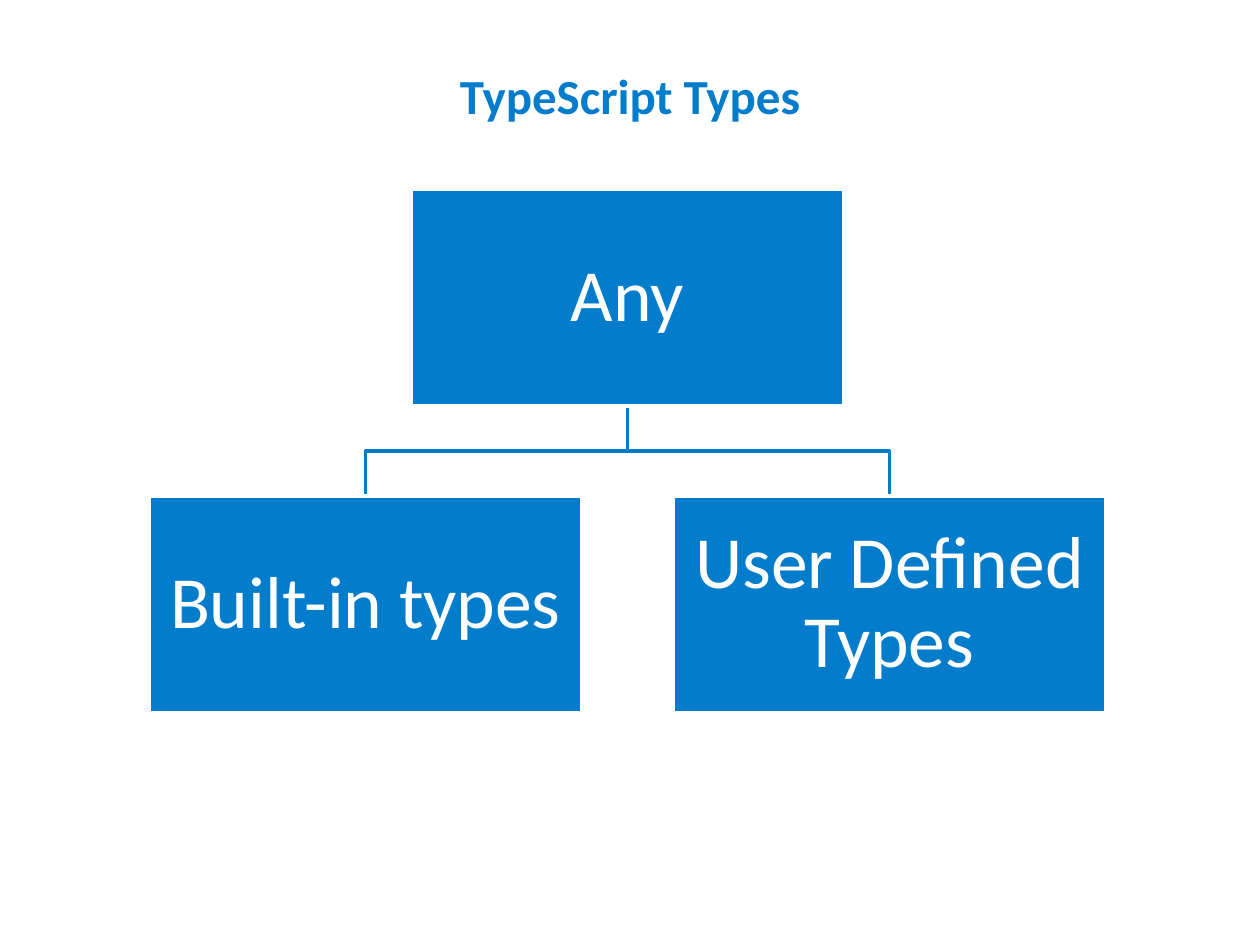
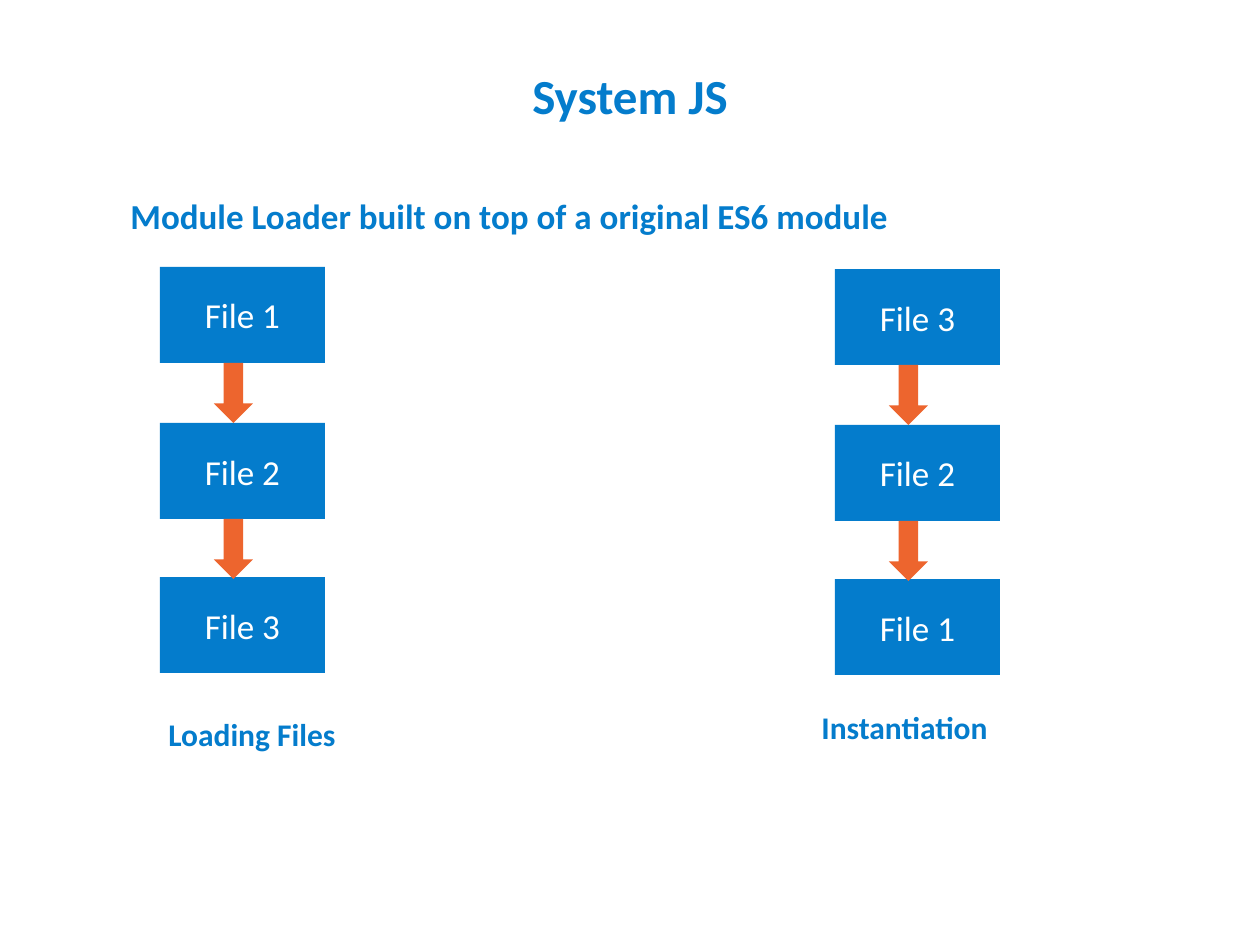
"""Build two slides: the TypeScript type tree and the System JS file order."""
from pptx import Presentation
from pptx.dml.color import RGBColor
from pptx.enum.shapes import MSO_SHAPE
from pptx.enum.text import MSO_ANCHOR, MSO_AUTO_SIZE, PP_ALIGN
from pptx.util import Pt

EMU_PER_PX = 914400 / 126
BLUE, ORANGE, WHITE = "047CCC", "ED652E", "FFFFFF"
FONT = "Calibri"
TITLE_ONLY = 5
TITLE_AREA = (63, 42, 1134, 105)

TREE = {"title": "TypeScript Types", "parent": "Any",
        "children": ["Built-in types", "User Defined Types"]}
TREE_BOX = (433, 217)
TREE_LEFT, TREE_TOP = 149, 189
TREE_GAP_X, TREE_GAP_Y = 91, 90

LOADER = {
    "title": "System JS",
    "subtitle": "Module Loader built on top of a original ES6 module",
    "columns": [
        {"files": ["File 1", "File 2", "File 3"], "at": (160, 267),
         "caption": "Loading Files", "caption_at": (156, 709)},
        {"files": ["File 3", "File 2", "File 1"], "at": (835, 269),
         "caption": "Instantiation", "caption_at": (809, 702)},
    ],
}
SUBTITLE_AREA = (118, 188, 1062, 55)
FILE_BOX = (165, 96)
FILE_OFFSETS = (0, 156, 310)
ARROW_OFFSET, ARROW_SIZE = 54, (39, 60)
CAPTION_SIZE = (260, 50)


def px(length):
    return round(length * EMU_PER_PX)


def color(hex_string):
    return RGBColor.from_string(hex_string)


def write(shape, text, size=20, font_color=BLUE, bold=False, align=PP_ALIGN.LEFT,
          anchor=MSO_ANCHOR.TOP, wrap=True, inset=None, spacing=None):
    frame = shape.text_frame
    frame.text = text
    frame.word_wrap = wrap
    frame.vertical_anchor = anchor
    if inset is not None:
        frame.margin_left = frame.margin_right = px(inset)
        frame.margin_top = frame.margin_bottom = px(inset)
    paragraph = frame.paragraphs[0]
    paragraph.alignment = align
    if spacing:
        paragraph.line_spacing = spacing
    font = paragraph.runs[0].font
    font.name, font.size, font.bold = FONT, Pt(size), bold
    font.color.rgb = color(font_color)


def add_block(slide, kind, area, fill, outline=None):
    shape = slide.shapes.add_shape(kind, *map(px, area))
    shape.shadow.inherit = False
    shape.fill.solid()
    shape.fill.fore_color.rgb = color(fill)
    if outline:
        shape.line.color.rgb = color(outline)
        shape.line.width = Pt(2)
    else:
        shape.line.fill.background()
    return shape


def add_box(slide, text, area, outline=None, **text_format):
    shape = add_block(slide, MSO_SHAPE.RECTANGLE, area, BLUE, outline)
    write(shape, text, font_color=WHITE, align=PP_ALIGN.CENTER,
          anchor=MSO_ANCHOR.MIDDLE, **text_format)


def add_label(slide, text, area, size):
    label = slide.shapes.add_textbox(*map(px, area))
    write(label, text, size=size, bold=True)
    label.text_frame.auto_size = MSO_AUTO_SIZE.SHAPE_TO_FIT_TEXT


def add_branch(slide, start, end):
    middle = (start[1] + end[1]) / 2
    corners = [(start[0], middle), (end[0], middle), end]
    builder = slide.shapes.build_freeform(px(start[0]), px(start[1]))
    builder.add_line_segments([(px(x), px(y)) for x, y in corners], close=False)
    branch = builder.convert_to_shape()
    branch.shadow.inherit = False
    branch.fill.background()
    branch.line.color.rgb = color(BLUE)
    branch.line.width = Pt(2)


def add_titled_slide(presentation, text):
    slide = presentation.slides.add_slide(presentation.slide_layouts[TITLE_ONLY])
    title = slide.shapes.title
    title.left, title.top, title.width, title.height = map(px, TITLE_AREA)
    write(title, text, size=28, bold=True, align=PP_ALIGN.CENTER,
          anchor=MSO_ANCHOR.MIDDLE)
    return slide


def build_tree(presentation):
    slide = add_titled_slide(presentation, TREE["title"])
    width, height = TREE_BOX
    child_top = TREE_TOP + height + TREE_GAP_Y
    child_lefts = [TREE_LEFT + index * (width + TREE_GAP_X)
                   for index in range(len(TREE["children"]))]
    parent_left = (child_lefts[0] + child_lefts[-1]) / 2
    for left in child_lefts:
        add_branch(slide, (parent_left + width / 2, TREE_TOP + height),
                   (left + width / 2, child_top))
    boxes = [(TREE["parent"], parent_left, TREE_TOP)]
    boxes += [(text, left, child_top) for text, left in zip(TREE["children"], child_lefts)]
    for text, left, top in boxes:
        add_box(slide, text, (left, top, width, height), outline=WHITE,
                size=42, inset=4, spacing=0.9)


def build_loader(presentation):
    slide = add_titled_slide(presentation, LOADER["title"])
    add_label(slide, LOADER["subtitle"], SUBTITLE_AREA, size=20)
    for column in LOADER["columns"]:
        left, top = column["at"]
        for text, offset in zip(column["files"], FILE_OFFSETS):
            add_box(slide, text, (left, top + offset, *FILE_BOX), wrap=False)
        for offset in FILE_OFFSETS[:-1]:
            arrow_top = top + offset + FILE_BOX[1]
            add_block(slide, MSO_SHAPE.DOWN_ARROW,
                      (left + ARROW_OFFSET, arrow_top, *ARROW_SIZE), ORANGE)
        add_label(slide, column["caption"], (*column["caption_at"], *CAPTION_SIZE), size=18)


def main():
    presentation = Presentation()
    presentation.slide_width, presentation.slide_height = px(1260), px(945)
    build_tree(presentation)
    build_loader(presentation)
    presentation.save("out.pptx")


if __name__ == "__main__":
    main()
